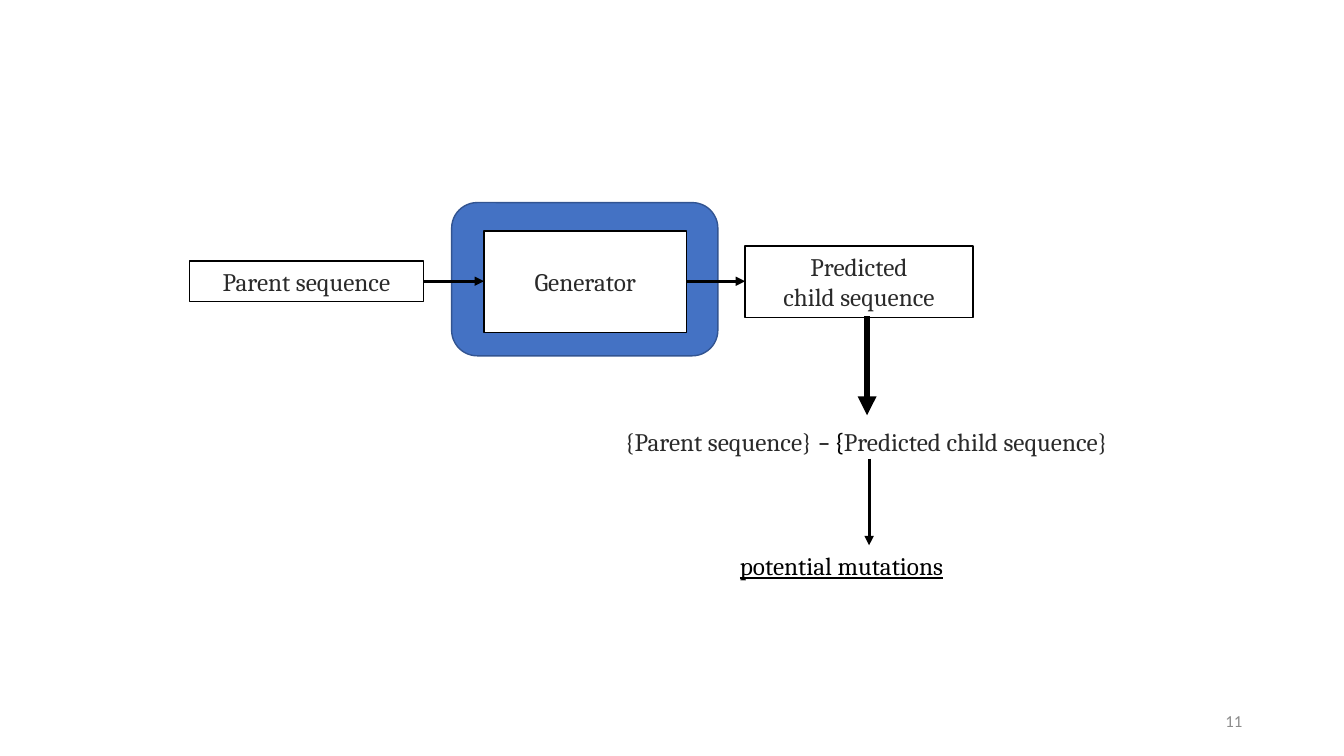
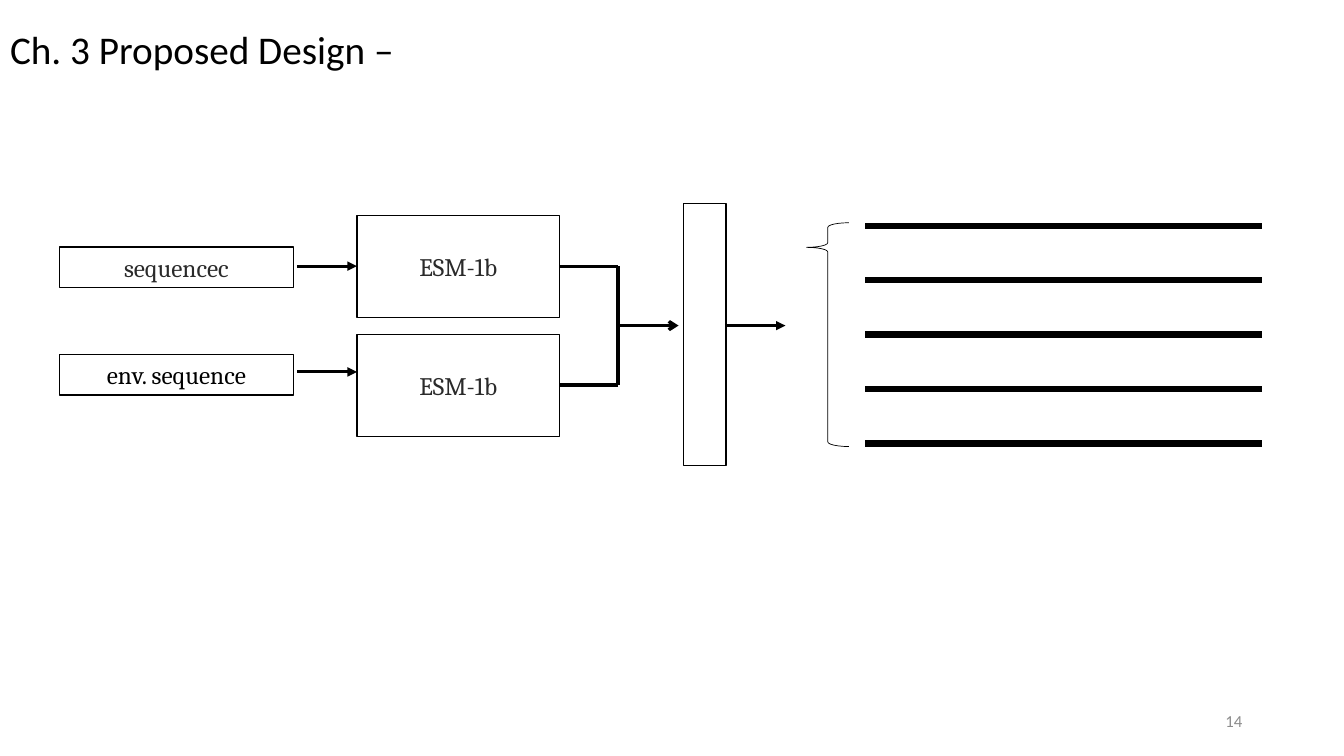
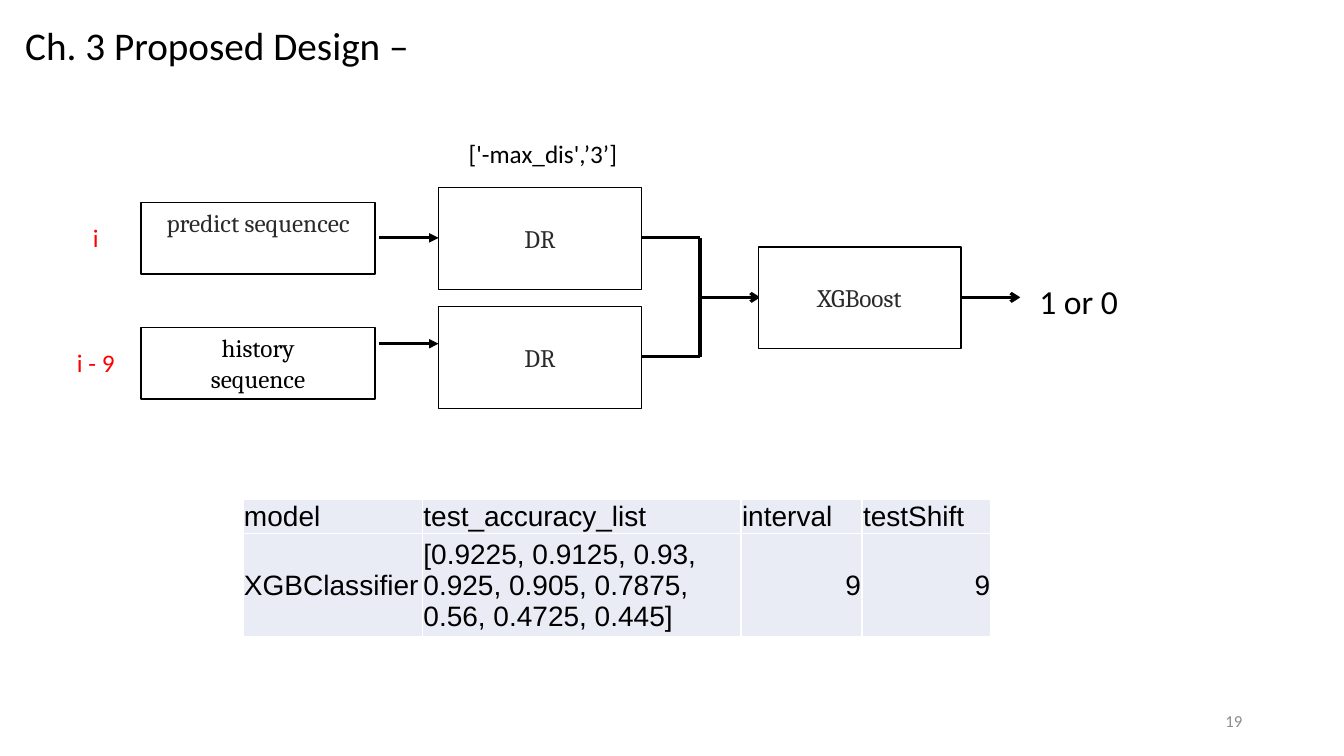
from lxml import etree
from pptx import Presentation
from pptx.dml.color import RGBColor
from pptx.enum.shapes import MSO_CONNECTOR, MSO_SHAPE
from pptx.enum.text import MSO_ANCHOR, PP_ALIGN
from pptx.oxml.ns import qn
from pptx.util import Inches, Pt

RECT, ROUNDED, BRACE = MSO_SHAPE.RECTANGLE, MSO_SHAPE.ROUNDED_RECTANGLE, MSO_SHAPE.LEFT_BRACE
STRAIGHT = MSO_CONNECTOR.STRAIGHT
LEFT, CENTER, RIGHT = PP_ALIGN.LEFT, PP_ALIGN.CENTER, PP_ALIGN.RIGHT
TOP, MIDDLE = MSO_ANCHOR.TOP, MSO_ANCHOR.MIDDLE

TITLE_ONLY, BLANK = 5, 6
COLORS = {
    "black": "000000", "ink": "2A2A2A", "white": "FFFFFF", "red": "FF0000",
    "gray": "8C8C8C", "blue": "4472C4", "blue_edge": "325491", "cell": "E9EBF5",
}
BODY, DIAGRAM, TABLE = "Calibri", "Cambria", "Arial"
TITLE = "Ch. 3 Proposed Design –"
STAGE_W, STAGE_H = 2.01, 1.01
INPUT_W = 2.32


def color(name):
    return RGBColor.from_string(COLORS[name])


def set_font(font, size, face, ink):
    font.size, font.name = Pt(size), face
    font.color.rgb = color(ink)


class SlideBuilder:
    """Holds the shared style and the slide being drawn."""

    def __init__(self):
        self.deck = Presentation()
        self.deck.slide_width, self.deck.slide_height = Inches(13.33), Inches(7.5)
        self.page = None

    def start(self, number, title_at=None):
        layout = self.deck.slide_layouts[TITLE_ONLY if title_at else BLANK]
        self.page = self.deck.slides.add_slide(layout)
        if title_at:
            title = self.page.shapes.title
            title.left, title.top = (Inches(value) for value in title_at)
            title.width, title.height = Inches(4.14), Inches(0.57)
            self.fill_text(title, TITLE, 28, BODY, "black", LEFT)
        self.text(9.42, 6.95, 3, 0.4, str(number), 12, ink="gray", align=RIGHT, anchor=MIDDLE)

    def fill_text(self, box, text, size, face, ink, align, anchor=TOP):
        frame = box.text_frame
        frame.word_wrap, frame.vertical_anchor = True, anchor
        frame.text = text
        for para in frame.paragraphs:
            para.alignment = align
            set_font(para.font, size, face, ink)
        return frame.paragraphs[0]

    def text(self, left, top, width, height, text, size=18, face=BODY, ink="black",
             align=LEFT, anchor=TOP):
        box = self.page.shapes.add_textbox(*map(Inches, (left, top, width, height)))
        return self.fill_text(box, text, size, face, ink, align, anchor)

    def shape(self, kind, left, top, width, height, fill="white", edge="black", weight=1):
        shape = self.page.shapes.add_shape(kind, *map(Inches, (left, top, width, height)))
        shape.shadow.inherit = False
        if fill:
            shape.fill.solid()
            shape.fill.fore_color.rgb = color(fill)
        else:
            shape.fill.background()
        shape.line.color.rgb = color(edge)
        shape.line.width = Pt(weight)
        return shape

    def box(self, left, top, width, height, text, ink="ink", anchor=TOP):
        shape = self.shape(RECT, left, top, width, height)
        self.fill_text(shape, text, 18, DIAGRAM, ink, CENTER, anchor)

    def stage(self, left, top, text):
        self.box(left, top, STAGE_W, STAGE_H, text, anchor=MIDDLE)

    def line(self, x1, y1, x2, y2, weight=2.25, head=None):
        line = self.page.shapes.add_connector(STRAIGHT, *map(Inches, (x1, y1, x2, y2)))
        line.line.color.rgb = color("black")
        line.line.width = Pt(weight)
        properties = line._element.spPr
        if head:
            etree.SubElement(properties.find(qn("a:ln")), qn("a:tailEnd"), type=head)
        etree.SubElement(properties, qn("a:effectLst"))

    def merged_pair(self, left, top, label, inputs, input_height, input_tops):
        """Two inputs, each through its own stage, joined into one arrow."""
        right, middle = left + STAGE_W, top + 1.09
        join = right + 0.58
        for text, ink, offset in zip(inputs, ("ink", "black"), input_tops):
            self.box(left - 2.95, top + offset, INPUT_W, input_height, text, ink)
        for stage_offset, arrow_offset in ((0, 0.5), (1.18, 1.55)):
            stage_top = top + stage_offset
            self.stage(left, stage_top, label)
            self.line(left - 0.59, top + arrow_offset, left, top + arrow_offset, head="triangle")
            self.line(right, stage_top + 0.5, join, stage_top + 0.5)
        self.line(join, top + 0.5, join, top + 1.68, 3)
        self.line(join, middle, join + 0.6, middle, head="arrow")

    def table(self, left, top, widths, heights, rows):
        frame = self.page.shapes.add_table(
            len(rows), len(widths),
            *map(Inches, (left, top, sum(widths), sum(heights))))
        table = frame.table
        table.first_row = table.horz_banding = False
        for column, width in zip(table.columns, widths):
            column.width = Inches(width)
        for row, height, values in zip(table.rows, heights, rows):
            row.height = Inches(height)
            for cell, value in zip(row.cells, values):
                cell.fill.solid()
                cell.fill.fore_color.rgb = color("cell")
                cell.margin_left = cell.margin_right = cell.margin_top = Inches(0.01)
                cell.margin_bottom = 0
                cell.vertical_anchor = MIDDLE
                cell.text = value
                para = cell.text_frame.paragraphs[0]
                para.alignment = RIGHT if value.isdigit() else LEFT
                set_font(para.font, 20, TABLE, "black")


def mutation_slide(slide):
    slide.start(11)
    # Generator pipeline
    slide.shape(ROUNDED, 4.48, 2.01, 2.64, 1.52, "blue", "blue_edge")
    slide.box(1.88, 2.59, INPUT_W, 0.4, "Parent sequence")
    slide.stage(4.8, 2.29, "Generator")
    slide.box(7.39, 2.44, 2.26, 0.71, "Predicted\nchild sequence")
    slide.line(4.2, 2.79, 4.8, 2.79, head="triangle")
    slide.line(6.81, 2.79, 7.39, 2.79, head="triangle")
    # Difference of the sequences
    slide.line(8.6, 3.14, 8.6, 4.12, 4.5, "triangle")
    para = slide.text(6.1, 4.18, 5.95, 0.4, "")
    for text, face, ink in (("{Parent sequence}", DIAGRAM, "ink"),
                            (" – {", BODY, "black"),
                            ("Predicted child sequence}", DIAGRAM, "ink")):
        span = para.add_run()
        span.text = text
        set_font(span.font, 18, face, ink)
    slide.line(8.62, 4.55, 8.62, 5.41, head="triangle")
    para = slide.text(7.24, 5.41, 2.76, 0.4, "potential mutations", face=DIAGRAM)
    para.font.underline = True


def embedding_slide(slide):
    slide.start(14, (0, 0.2))
    slide.merged_pair(3.54, 2.14, "ESM-1b", ("sequencec", "env. sequence"), 0.4, (0.31, 1.38))
    # Joined vector
    slide.shape(RECT, 6.78, 2.02, 0.42, 2.6)
    slide.line(7.19, 3.23, 7.79, 3.23, head="triangle")
    # Output rows
    brace = slide.shape(BRACE, 8, 2.21, 0.42, 2.22, fill=None, weight=0.5)
    brace.adjustments[0], brace.adjustments[1] = 0.11, 0.11
    for index in range(5):
        y = 2.24 + 0.54 * index
        slide.line(8.58, y, 12.52, y, 4.5)


def classifier_slide(slide):
    slide.start(19, (0.15, 0.16))
    # Classifier pipeline
    slide.merged_pair(4.35, 1.86, "DR", ("predict sequencec", "history\nsequence"),
                      0.71, (0.15, 1.39))
    slide.stage(7.52, 2.45, "XGBoost")
    slide.line(9.54, 2.95, 10.12, 2.95, head="arrow")
    # Labels
    slide.text(10.21, 2.74, 1.2, 0.5, "1 or 0", 24)
    slide.text(4.55, 1.32, 3.14, 0.4, "['-max_dis',’3’]")
    for top, label in ((2.16, "i"), (3.4, "i - 9")):
        slide.text(0.6, top, 0.7, 0.4, label, ink="red", align=CENTER)
    # Results
    slide.table(2.41, 4.95, (1.78, 3.16, 1.2, 1.28), (0.33, 1.02), (
        ("model", "test_accuracy_list", "interval", "testShift"),
        ("XGBClassifier",
         "[0.9225, 0.9125, 0.93, 0.925, 0.905, 0.7875, 0.56, 0.4725, 0.445]", "9", "9"),
    ))


def main():
    slide = SlideBuilder()
    mutation_slide(slide)
    embedding_slide(slide)
    classifier_slide(slide)
    slide.deck.save("out.pptx")


if __name__ == "__main__":
    main()
